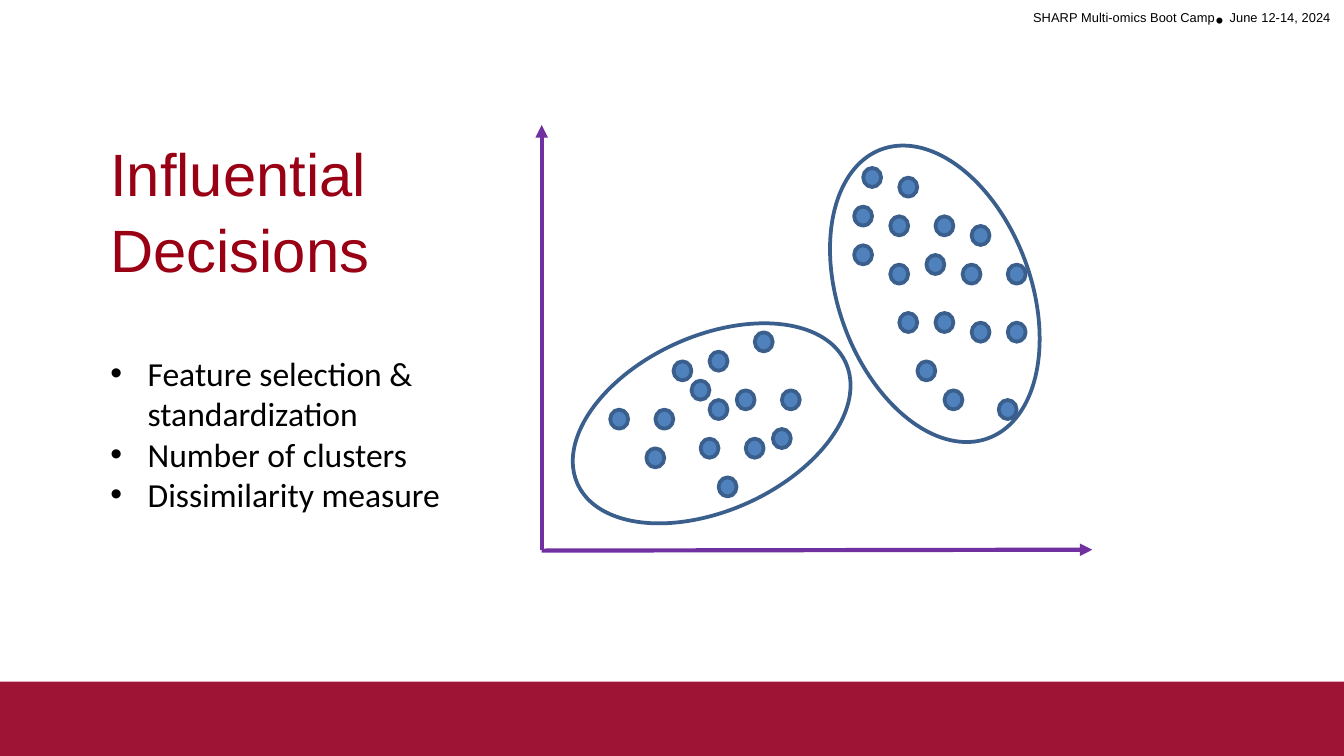
from lxml import etree
from pptx import Presentation
from pptx.dml.color import RGBColor
from pptx.enum.shapes import MSO_CONNECTOR, MSO_SHAPE
from pptx.enum.text import PP_ALIGN
from pptx.oxml.ns import qn
from pptx.util import Pt

OVAL, RECT = MSO_SHAPE.OVAL, MSO_SHAPE.RECTANGLE
LINE = MSO_CONNECTOR.STRAIGHT
RIGHT = PP_ALIGN.RIGHT

BLACK = RGBColor(0x00, 0x00, 0x00)
WINE = RGBColor(0x9E, 0x14, 0x35)
RED = RGBColor(0x99, 0x00, 0x14)
BLUE = RGBColor(0x4F, 0x81, 0xBD)
NAVY = RGBColor(0x3A, 0x5F, 0x8C)
PURPLE = RGBColor(0x70, 0x30, 0xA0)

# Dots sit on a fine grid: (column, row)
DOT_X, DOT_Y = 326.9, 90
STEP_X, STEP_Y = 4.84, 5.18
LOWER = [
    (16, 17), (11, 19), (7, 20), (9, 22), (14, 23), (19, 23), (11, 24),
    (0, 25), (5, 25), (18, 27), (10, 28), (15, 28), (4, 29), (12, 32),
]
UPPER = [
    (28, 0), (32, 1), (27, 4), (31, 5), (36, 5), (40, 6), (27, 8),
    (35, 9), (31, 10), (39, 10), (44, 10), (32, 15), (36, 15),
    (40, 16), (44, 16), (34, 20), (37, 23), (43, 24),
]
POINTS = ["Feature selection & standardization", "Number of clusters",
          "Dissimilarity measure"]


def add_shape(slide, kind, box, fill=None, line=None, turn=0):
    shape = slide.shapes.add_shape(kind, *map(Pt, box))
    shape.shadow.inherit = False
    shape.rotation = turn
    if fill is None:
        shape.fill.background()
    else:
        shape.fill.solid()
        shape.fill.fore_color.rgb = fill
    if line is None:
        shape.line.fill.background()
    else:
        shape.line.color.rgb = line
        shape.line.width = Pt(2)


def add_axis(slide, start, end):
    axis = slide.shapes.add_connector(LINE, *map(Pt, start + end))
    axis.line.color.rgb = PURPLE
    axis.line.width = Pt(2.25)
    tail = etree.SubElement(axis.line._get_or_add_ln(), qn("a:tailEnd"))
    tail.set("type", "triangle")
    etree.SubElement(axis._element.spPr, qn("a:effectLst"))


def add_box(slide, box):
    frame = slide.shapes.add_textbox(*map(Pt, box)).text_frame
    frame.word_wrap = True
    return frame


def add_run(para, text, size, font, color, raised=False):
    run = para.add_run()
    run.text = text
    run.font.size = Pt(size)
    run.font.name = font
    run.font.color.rgb = color
    if raised:
        run.font._element.set("baseline", "30000")


def add_bullet(para):
    props = para._p.get_or_add_pPr()
    props.set("marL", str(Pt(20)))
    props.set("indent", str(-Pt(20)))
    etree.SubElement(props, qn("a:buFont")).set("typeface", "Arial")
    etree.SubElement(props, qn("a:buChar")).set("char", "•")


def add_header(slide):
    para = add_box(slide, (435, 0, 285, 21.6)).paragraphs[0]
    para.alignment = RIGHT
    add_run(para, "SHARP Multi-omics Boot Camp", 12, "Arial", BLACK, True)
    add_run(para, "• ", 12, "Arial", BLACK)
    add_run(para, "June 12-14, 2024", 12, "Arial", BLACK, True)


def add_body(slide):
    frame = add_box(slide, (52, 68, 212, 245))
    title = frame.paragraphs[0]
    title.line_spacing = 1.05
    add_run(title, "Influential Decisions", 32, "Arial", RED)
    for i, text in enumerate(POINTS):
        para = frame.add_paragraph()
        add_bullet(para)
        if i == 0:
            para.space_before = Pt(37)
        add_run(para, text, 18, "Calibri", BLACK)


def add_plot(slide):
    for col, row in LOWER + UPPER:
        place = (DOT_X + col * STEP_X, DOT_Y + row * STEP_Y, 9.6, 10.2)
        add_shape(slide, OVAL, place, BLUE, NAVY)
    add_shape(slide, OVAL, (418.3, 105.9, 165, 103), line=NAVY, turn=69.7)
    add_shape(slide, OVAL, (302.4, 180, 157.7, 93.6), line=NAVY, turn=335.7)
    add_axis(slide, (290.2, 294.5), (290.2, 67))
    add_axis(slide, (290.2, 295), (585.2, 294.5))


def main():
    deck = Presentation()
    deck.slide_width, deck.slide_height = Pt(720), Pt(405)
    slide = deck.slides.add_slide(deck.slide_layouts[6])
    add_shape(slide, RECT, (0, 365.2, 720, 39.8), WINE)
    add_header(slide)
    add_body(slide)
    add_plot(slide)
    deck.save("out.pptx")


if __name__ == "__main__":
    main()
